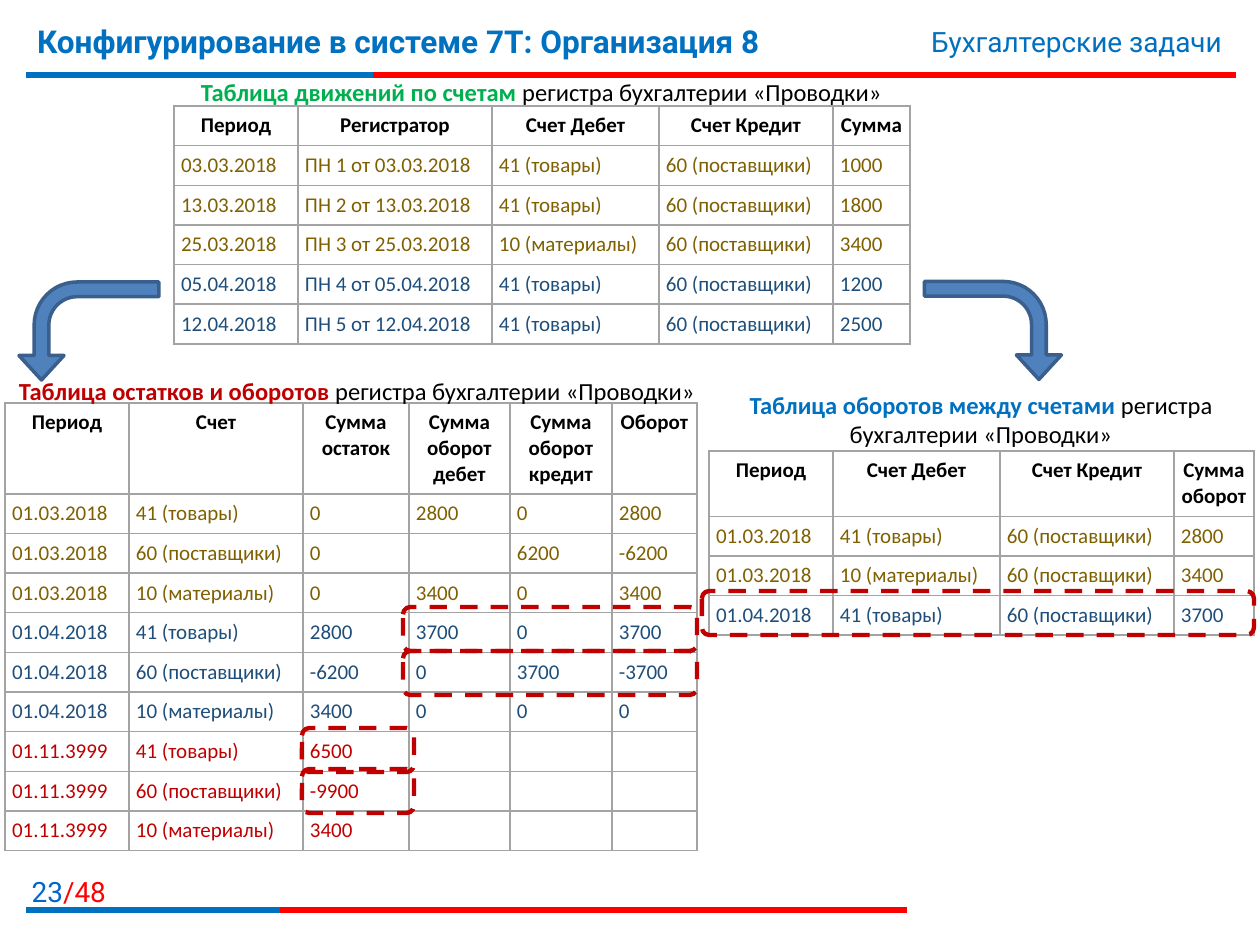
from lxml import etree
from pptx import Presentation
from pptx.dml.color import RGBColor
from pptx.enum.dml import MSO_LINE
from pptx.enum.shapes import MSO_CONNECTOR, MSO_SHAPE
from pptx.enum.text import MSO_ANCHOR, MSO_AUTO_SIZE, PP_ALIGN
from pptx.oxml.ns import qn
from pptx.util import Emu, Pt

LEFT, CENTER, RIGHT = PP_ALIGN.LEFT, PP_ALIGN.CENTER, PP_ALIGN.RIGHT
TOP, NO_AUTOFIT = MSO_ANCHOR.TOP, MSO_AUTO_SIZE.NONE
STRAIGHT = MSO_CONNECTOR.STRAIGHT
ROUNDED, BENT_ARROW = MSO_SHAPE.ROUNDED_RECTANGLE, MSO_SHAPE.BENT_ARROW
DASH = MSO_LINE.DASH
EMU_PER_PX = 914400 / 126

BLUE, RED, GREEN = "0070C0", "FF0000", "00B050"
BLACK, DARK_RED, GRID = "000000", "C00000", "A3A3A3"
PERIOD_COLORS = {"03.2018": "7F6000", "04.2018": "1E4E79", "11.3999": DARK_RED}
ROW_HEIGHT = 39

GOODS, SUPPLIERS, MATERIALS = "41 (товары)", "60 (поставщики)", "10 (материалы)"
MARCH, APRIL, TOTALS = "01.03.2018", "01.04.2018", "01.11.3999"
MOVEMENTS = [
    ["Период", "Регистратор", "Счет Дебет", "Счет Кредит", "Сумма"],
    ["03.03.2018", "ПН 1 от 03.03.2018", GOODS, SUPPLIERS, "1000"],
    ["13.03.2018", "ПН 2 от 13.03.2018", GOODS, SUPPLIERS, "1800"],
    ["25.03.2018", "ПН 3 от 25.03.2018", MATERIALS, SUPPLIERS, "3400"],
    ["05.04.2018", "ПН 4 от 05.04.2018", GOODS, SUPPLIERS, "1200"],
    ["12.04.2018", "ПН 5 от 12.04.2018", GOODS, SUPPLIERS, "2500"],
]
BALANCES = [
    ["Период", "Счет", "Сумма остаток", "Сумма оборот дебет",
     "Сумма оборот кредит", "Оборот"],
    [MARCH, GOODS, "0", "2800", "0", "2800"],
    [MARCH, SUPPLIERS, "0", "", "6200", "-6200"],
    [MARCH, MATERIALS, "0", "3400", "0", "3400"],
    [APRIL, GOODS, "2800", "3700", "0", "3700"],
    [APRIL, SUPPLIERS, "-6200", "0", "3700", "-3700"],
    [APRIL, MATERIALS, "3400", "0", "0", "0"],
    [TOTALS, GOODS, "6500", "", "", ""],
    [TOTALS, SUPPLIERS, "-9900", "", "", ""],
    [TOTALS, MATERIALS, "3400", "", "", ""],
]
TURNOVERS = [
    ["Период", "Счет Дебет", "Счет Кредит", "Сумма оборот"],
    [MARCH, GOODS, SUPPLIERS, "2800"],
    [MARCH, MATERIALS, SUPPLIERS, "3400"],
    [APRIL, GOODS, SUPPLIERS, "3700"],
]


def px(length):
    return Emu(round(length * EMU_PER_PX))


def color(hex_value):
    return RGBColor.from_string(hex_value)


def set_attributes(target, values):
    for name, value in values.items():
        setattr(target, name, value)


def add_run(paragraph, text, size, font_name, hex_color, bold=False):
    run = paragraph.add_run()
    run.text = text
    set_attributes(run.font, {"size": Pt(size), "name": font_name, "bold": bold})
    run.font.color.rgb = color(hex_color)


def fill_text(shape, runs, alignment):
    frame = shape.text_frame
    set_attributes(frame, {
        "word_wrap": True, "auto_size": NO_AUTOFIT, "vertical_anchor": TOP,
        "margin_left": px(12), "margin_right": px(12),
        "margin_top": px(6), "margin_bottom": px(6),
    })
    paragraph = frame.paragraphs[0]
    paragraph.alignment = alignment
    for run in runs:
        add_run(paragraph, *run)


def add_title(slide, box, text):
    title = slide.shapes.title
    names = ("left", "top", "width", "height")
    set_attributes(title, dict(zip(names, map(px, box))))
    fill_text(title, [(text, 18, "Roboto", BLUE, True)], LEFT)


def add_text(slide, box, runs, alignment):
    fill_text(slide.shapes.add_textbox(*map(px, box)), runs, alignment)


def add_caption(slide, box, subject, hex_color):
    runs = [(subject, 14, "Calibri", hex_color, True),
            (" регистра бухгалтерии «Проводки»", 14, "Calibri", BLACK)]
    add_text(slide, box, runs, CENTER)


def add_rule(slide, left, right, y, hex_color):
    rule = slide.shapes.add_connector(STRAIGHT, px(left), px(y), px(right), px(y))
    rule.line.color.rgb = color(hex_color)
    rule.line.width = Pt(3)
    etree.SubElement(rule._element.spPr, qn("a:effectLst"))


def add_two_color_rule(slide, left, middle, right, y):
    add_rule(slide, left, right, y, RED)
    add_rule(slide, left, middle, y, BLUE)


def set_borders(cell):
    properties = cell._tc.get_or_add_tcPr()
    for position, side in enumerate(("a:lnL", "a:lnR", "a:lnT", "a:lnB")):
        border = etree.Element(qn(side), w=str(Pt(1)))
        fill = etree.SubElement(border, qn("a:solidFill"))
        etree.SubElement(fill, qn("a:srgbClr"), val=GRID)
        properties.insert(position, border)


def fill_cell(cell, text, hex_color, is_header):
    margins = ("margin_left", "margin_right", "margin_top", "margin_bottom")
    set_attributes(cell, dict.fromkeys(margins, px(7)))
    cell.fill.background()
    set_borders(cell)
    paragraph = cell.text_frame.paragraphs[0]
    paragraph.alignment = CENTER if is_header else LEFT
    if text:
        add_run(paragraph, text, 12, "Calibri", hex_color, is_header)
    else:
        paragraph._p.get_or_add_endParaRPr().set("sz", "1200")


def add_register_table(slide, left, top, widths, header_height, rows):
    heights = [header_height] + [ROW_HEIGHT] * (len(rows) - 1)
    box = map(px, (left, top, sum(widths), sum(heights)))
    table = slide.shapes.add_table(len(rows), len(widths), *box).table
    set_attributes(table, {"first_row": False, "horz_banding": False})
    for column, width in zip(table.columns, widths):
        column.width = px(width)
    for row_index, (values, height) in enumerate(zip(rows, heights)):
        table.rows[row_index].height = px(height)
        hex_color = PERIOD_COLORS.get(values[0][3:], BLACK)
        for column_index, text in enumerate(values):
            cell = table.cell(row_index, column_index)
            fill_cell(cell, text, hex_color, row_index == 0)


def add_highlight(slide, *box):
    shape = slide.shapes.add_shape(ROUNDED, *map(px, box))
    shape.shadow.inherit = False
    shape.fill.background()
    shape.line.color.rgb = color(DARK_RED)
    set_attributes(shape.line, {"width": Pt(2.5), "dash_style": DASH})


def add_bent_arrow(slide, box, flips):
    arrow = slide.shapes.add_shape(BENT_ARROW, *map(px, box))
    arrow.shadow.inherit = False
    arrow.rotation = 270
    for flip in flips:
        arrow._element.spPr.xfrm.set(flip, "1")
    for index, value in enumerate((0.15, 0.23, 0.25, 0.44)):
        arrow.adjustments[index] = value
    arrow.fill.solid()
    arrow.fill.fore_color.rgb = color("4F81BD")
    arrow.line.color.rgb = color("3A5F8C")
    arrow.line.width = Pt(2)


def main():
    presentation = Presentation()
    set_attributes(presentation, {"slide_width": px(1260), "slide_height": px(945)})
    slide = presentation.slides.add_slide(presentation.slide_layouts[5])

    add_two_color_rule(slide, 26, 373, 1236, 75)
    add_two_color_rule(slide, 26, 280, 907, 910)
    add_title(slide, (25, 16, 932, 78),
              "Конфигурирование в системе 7Т: Организация 8")
    add_text(slide, (748, 19, 486, 47),
             [("Бухгалтерские задачи", 16, "Roboto", BLUE)], RIGHT)
    add_text(slide, (6, 869, 112, 40),
             [("23", 16, "Roboto", "0066CC"), ("/48", 16, "Roboto", RED)], RIGHT)

    add_register_table(slide, 709, 451, [124, 167, 174, 80], 65, TURNOVERS)
    add_register_table(slide, 5, 403, [124, 174, 106, 101, 102, 85], 90, BALANCES)
    add_register_table(slide, 174, 106, [124, 194, 167, 174, 77], ROW_HEIGHT, MOVEMENTS)

    add_caption(slide, (175, 71, 733, 43), "Таблица движений по счетам", GREEN)
    add_caption(slide, (5, 370, 704, 43), "Таблица остатков и оборотов", DARK_RED)
    add_caption(slide, (709, 384, 544, 73), "Таблица оборотов между счетами", BLUE)

    for top in (607, 651):
        add_highlight(slide, 403, top, 294, 44)
    for top in (728, 769):
        add_highlight(slide, 302, top, 112, 44)
    add_highlight(slide, 702, 591, 552, 44)
    add_bent_arrow(slide, (40, 261, 98, 140), ("flipH",))
    add_bent_arrow(slide, (944, 262, 98, 137), ("flipH", "flipV"))

    presentation.save("out.pptx")


if __name__ == "__main__":
    main()
